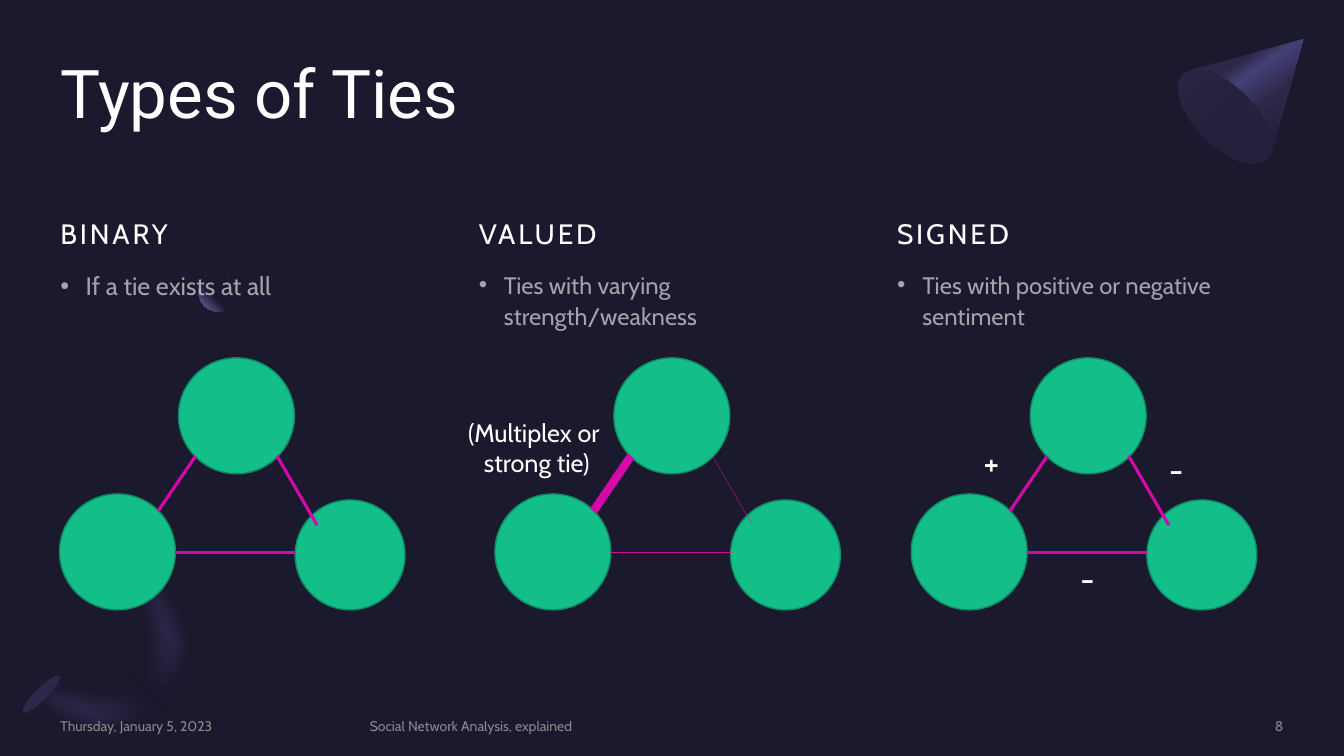
"""Build the Types of Ties slide with its three network triads."""
from dataclasses import dataclass

import lxml.etree
import pptx
import pptx.dml.color
import pptx.enum.shapes
import pptx.enum.text
import pptx.oxml
import pptx.oxml.ns
import pptx.util

Pt = pptx.util.Pt
qn = pptx.oxml.ns.qn
Align = pptx.enum.text.PP_ALIGN
Anchor = pptx.enum.text.MSO_ANCHOR
OVAL = pptx.enum.shapes.MSO_SHAPE.OVAL
NS = 'xmlns:a="http://schemas.openxmlformats.org/drawingml/2006/main"'
HEX = {"night": "1B192E", "dusk": "2C284A", "shade": "23213C", "glow": "454075",
       "lilac": "7771B2", "white": "FFFFFF", "gray": "A6A6A6",
       "node": "13BE89", "rim": "0E8D65", "tie": "D40AA8"}


@dataclass
class Text:
    x: float
    y: float
    w: float
    h: float
    words: str
    size: float
    color: str = "white"
    alpha: int = 100
    align: Align = Align.LEFT
    anchor: Anchor = Anchor.TOP
    lead: float = 1.0
    track: int = 0
    dot: bool = False
    label: bool = False


@dataclass
class Triad:
    left: float
    head: str
    body: str
    size: float
    origin: float
    widths: tuple


@dataclass
class Node:
    x: float
    y: float
    size: float


TRIADS = [
    Triad(43.2, "BINARY", "If a tie exists at all", 18, 42.5, (2.25, 2.25, 2.25)),
    Triad(342, "VALUED", "Ties with varying strength/weakness", 17, 353.5, (6, 0.25, 0.25)),
    Triad(640.8, "SIGNED", "Ties with positive or negative sentiment", 17, 650.9,
          (2.25, 2.25, 2.25)),
]
NODES = [Node(85, 255.6, 82.8), Node(0, 352.8, 82.8), Node(168.3, 357.1, 78.5)]
TIES = [((97.2, 325.8), (70.5, 365)), ((155.4, 325.8), (184, 375.1)),
        ((82.8, 394.6), (168.4, 394.6))]
LABELS = [
    Text(695.5, 311.8, 28.8, 36, "+", 24, label=True),
    Text(828, 316.8, 22.3, 36, "-", 24, label=True),
    Text(764.6, 395.3, 22.3, 36, "-", 24, label=True),
    Text(325.4, 294.5, 115.9, 51.1, "(Multiplex or \vstrong tie)", 18,
         align=Align.CENTER, label=True),
]
FOOT = [
    Text(43.2, 512.6, 207.4, 12.2, "Thursday, January 5, 2023", 10, "gray", 80,
         anchor=Anchor.MIDDLE),
    Text(264.2, 512.6, 502.6, 12.2, "Social Network Analysis, explained", 10, "gray", 80,
         anchor=Anchor.MIDDLE),
    Text(783.4, 512.6, 133.2, 12.2, "8", 10, "gray", 80, Align.RIGHT, Anchor.MIDDLE),
]


def tint(name: str) -> pptx.dml.color.RGBColor:
    """Return the named colour."""
    return pptx.dml.color.RGBColor.from_string(HEX[name])


def blend(shape, stops: list, way: str) -> None:
    """Fill a shape with a gradient and drop its line and shadow."""
    shape.shadow.inherit = False
    shape.line.fill.background()
    shape.fill.background()
    marks = "".join(f'<a:gs pos="{at * 1000}"><a:srgbClr val="{HEX[name]}"/></a:gs>'
                    for at, name in stops)
    grad = pptx.oxml.parse_xml(
        f'<a:gradFill {NS} rotWithShape="1"><a:gsLst>{marks}</a:gsLst>{way}</a:gradFill>')
    props = shape._element.spPr
    props.replace(props.find(qn("a:noFill")), grad)


def slope(angle: int) -> str:
    """Return the markup of a linear gradient."""
    return f'<a:lin ang="{angle * 60000}" scaled="0"/>'


def curve(a: tuple, b: tuple, c: tuple, d: tuple, steps: int = 16) -> list:
    """Return points along a cubic curve, without its start."""
    spots = []
    for i in range(1, steps + 1):
        t = i / steps
        u = 1 - t
        spots.append(tuple(u**3 * p + 3 * u * u * t * q + 3 * u * t * t * r + t**3 * s
                           for p, q, r, s in zip(a, b, c, d)))
    return spots


def shape_of(slide, spots: list):
    """Draw a closed outline through the points."""
    first, *rest = [(Pt(x), Pt(y)) for x, y in spots]
    maker = slide.shapes.build_freeform(*first)
    maker.add_line_segments(rest)
    return maker.convert_to_shape()


def oval(slide, x: float, y: float, w: float, h: float, turn: float = 0):
    """Add a turned ellipse."""
    shape = slide.shapes.add_shape(OVAL, Pt(x), Pt(y), Pt(w), Pt(h))
    shape.rotation = turn
    shape.shadow.inherit = False
    return shape


def decor(slide) -> None:
    """Draw the ring, disc, cone and ball behind the text."""
    a, b, c, d, e = (120.2, 509), (110.9, 396.7), (85.7, 422.6), (90, 478.8), (33.8, 473.8)
    f = (7.9, 499.7)
    ring = shape_of(slide, [
        a, *curve(a, (149, 480.2), (144.7, 429.8), b),
        c, *curve(c, (102.2, 439.2), (104.4, 464.4), d),
        *curve(d, (75.6, 493.2), (50.4, 491), e),
        f, *curve(f, (41.8, 533.5), (92.2, 537.8), a)])
    blend(ring, [(0, "night"), (28, "dusk"), (50, "night"), (72, "dusk"), (100, "night")],
          slope(135))
    soft = ring._element.spPr.find(qn("a:effectLst"))
    lxml.etree.SubElement(soft, qn("a:softEdge"), rad=str(Pt(10)))
    disc = oval(slide, 25.2, 477.4, 8.6, 36.7, 45)
    disc.fill.solid()
    disc.fill.fore_color.rgb = tint("dusk")
    disc.line.fill.background()
    cone = shape_of(slide, [(931, 28.1), (907.9, 109.4), (905.8, 113), (845.3, 53.3),
                            (849.6, 50.4)])
    blend(cone, [(30, "dusk"), (40, "glow"), (60, "dusk"), (100, "night")], slope(55))
    blend(oval(slide, 853.9, 41, 42.5, 85, 135), [(50, "shade"), (100, "dusk")], slope(90))
    blend(oval(slide, 141.8, 194.4, 28.1, 28.1), [(60, "night"), (100, "lilac")],
          '<a:path path="circle"><a:fillToRect l="100000" b="100000"/></a:path>')


def write(slide, item: Text) -> None:
    """Add one text box."""
    box = slide.shapes.add_textbox(Pt(item.x), Pt(item.y), Pt(item.w), Pt(item.h))
    frame = box.text_frame
    frame.word_wrap = not item.label
    frame.vertical_anchor = item.anchor
    if not item.label:
        frame.margin_left = frame.margin_right = frame.margin_top = frame.margin_bottom = 0
    frame.text = item.words
    para = frame.paragraphs[0]
    para.alignment = item.align
    para.line_spacing = item.lead
    if item.dot:
        props = para._p.get_or_add_pPr()
        props.set("marL", str(Pt(18)))
        props.set("indent", str(Pt(-18)))
        lxml.etree.SubElement(props, qn("a:buFont"), typeface="Arial")
        lxml.etree.SubElement(props, qn("a:buChar"), char="•")
    for run in para.runs:
        run.font.name, run.font.size = "Cabin", Pt(item.size)
        run.font.color.rgb = tint(item.color)
        props = run._r.get_or_add_rPr()
        if item.track:
            props.set("spc", str(item.track * 100))
        if item.alpha < 100:
            hue = next(props.iter(qn("a:srgbClr")))
            lxml.etree.SubElement(hue, qn("a:alpha"), val=str(item.alpha * 1000))


def draw(slide, triad: Triad) -> None:
    """Draw one column: heading, bullet, nodes and ties."""
    write(slide, Text(triad.left, 136.1, 280.8, 42.5, triad.head, 20,
                      anchor=Anchor.BOTTOM, lead=1.1, track=2))
    write(slide, Text(triad.left, 191, 276.5, 48, triad.body, triad.size,
                      alpha=60, lead=1.1, dot=True))
    for node in NODES:
        shape = oval(slide, triad.origin + node.x, node.y, node.size, node.size)
        shape.fill.solid()
        shape.fill.fore_color.rgb = tint("node")
        shape.line.color.rgb = tint("rim")
        shape.line.width = Pt(1)
    for (start, end), width in zip(TIES, triad.widths):
        line = slide.shapes.add_connector(
            pptx.enum.shapes.MSO_CONNECTOR.STRAIGHT,
            Pt(triad.origin + start[0]), Pt(start[1]), Pt(triad.origin + end[0]), Pt(end[1]))
        line.line.color.rgb = tint("tie")
        line.line.width = Pt(width)
        lxml.etree.SubElement(line._element.spPr, qn("a:effectLst"))


def name(slide) -> None:
    """Place and format the title."""
    title = slide.shapes.title
    title.left, title.top, title.width, title.height = Pt(43.2), Pt(43.2), Pt(874), Pt(105)
    frame = title.text_frame
    frame.margin_left = frame.margin_right = frame.margin_top = frame.margin_bottom = 0
    frame.auto_size = pptx.enum.text.MSO_AUTO_SIZE.NONE
    frame.vertical_anchor = Anchor.TOP
    frame.text = "Types of Ties"
    para = frame.paragraphs[0]
    para.alignment, para.line_spacing = Align.LEFT, 0.9
    font = para.runs[0].font
    font.name, font.size, font.color.rgb = "Roboto", Pt(48), tint("white")


def main() -> None:
    """Build and save the deck."""
    deck = pptx.Presentation()
    deck.slide_width, deck.slide_height = Pt(960), Pt(540)
    slide = deck.slides.add_slide(deck.slide_layouts[5])
    slide.background.fill.solid()
    slide.background.fill.fore_color.rgb = tint("night")
    decor(slide)
    name(slide)
    for triad in TRIADS:
        draw(slide, triad)
    for item in LABELS + FOOT:
        write(slide, item)
    deck.save("out.pptx")


if __name__ == "__main__":
    main()
